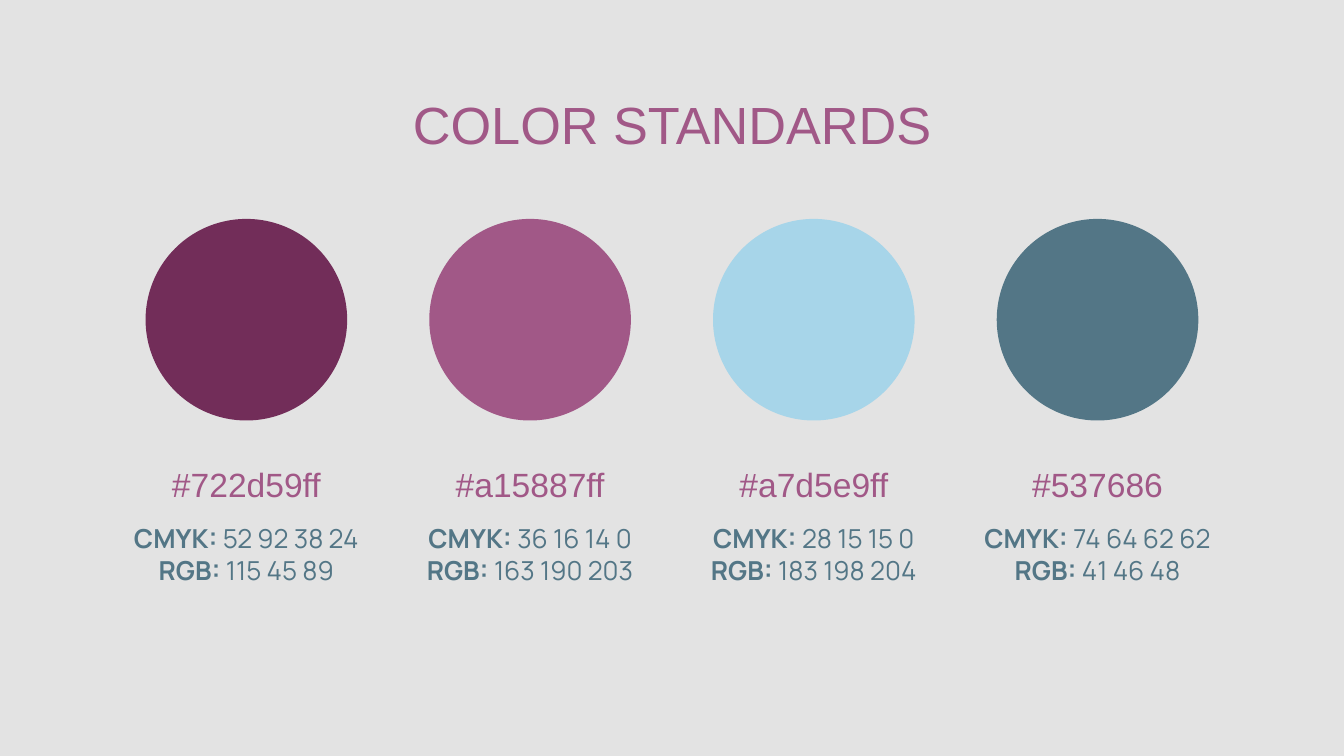
"""Build a slide that shows four colour standards."""
import pptx
import pptx.dml.color
import pptx.enum.shapes
import pptx.enum.text
import pptx.util

PLUM = "722D59"
MAUVE = "A15887"
SKY = "A7D5E9"
SLATE = "537686"
BACKGROUND = "E3E3E3"

SWATCHES = [
    (PLUM, "#722d59ff", "52 92 38 24", "115 45 89"),
    (MAUVE, "#a15887ff", "36 16 14 0", "163 190 203"),
    (SKY, "#a7d5e9ff", "28 15 15 0", "183 198 204"),
    (SLATE, "#537686", "74 64 62 62", "41 46 48"),
]
MARGIN = 56
COLUMN_WIDTH = 152
CIRCLE_SIZE = 108
CODE_WIDTH = 116


def set_fill(fill, color):
    """Give a fill one solid colour."""
    fill.solid()
    fill.fore_color.rgb = pptx.dml.color.RGBColor.from_string(color)


def add_text(slide, lines, left, top, width, height, *, size, font, color):
    """Add a centred text box whose lines are lists of (text, bold) runs."""
    box = slide.shapes.add_textbox(*map(pptx.util.Pt, (left, top, width, height)))
    frame = box.text_frame
    frame.word_wrap = True
    frame.margin_left = frame.margin_right = pptx.util.Pt(7.2)
    frame.margin_top = frame.margin_bottom = pptx.util.Pt(7.2)
    for index, line in enumerate(lines):
        paragraph = frame.add_paragraph() if index else frame.paragraphs[0]
        paragraph.alignment = pptx.enum.text.PP_ALIGN.CENTER
        for text, bold in line:
            run = paragraph.add_run()
            run.text = text
            run.font.bold = bold
            run.font.size = pptx.util.Pt(size)
            run.font.name = font
            run.font.color.rgb = pptx.dml.color.RGBColor.from_string(color)


def add_circle(slide, center, top, color):
    """Add a plain colour circle centred on a column."""
    circle = slide.shapes.add_shape(
        pptx.enum.shapes.MSO_SHAPE.OVAL,
        *map(pptx.util.Pt, (center - CIRCLE_SIZE / 2, top, CIRCLE_SIZE, CIRCLE_SIZE)),
    )
    circle.shadow.inherit = False
    set_fill(circle.fill, color)
    circle.line.fill.background()


def add_swatch(slide, left, color, code, cmyk, rgb):
    """Add one column: circle, hex code and colour values."""
    center = left + COLUMN_WIDTH / 2
    add_circle(slide, center, 117.3, color)
    add_text(slide, [[(code, False)]], center - CODE_WIDTH / 2, 241.2, CODE_WIDTH, 28.8,
             size=18, font="Arial", color=MAUVE)
    values = [[("CMYK: ", True), (cmyk, False)], [("RGB: ", True), (rgb, False)]]
    add_text(slide, values, left, 272.9, COLUMN_WIDTH, 45.4,
             size=14, font="Manrope", color=SLATE)


def main():
    """Build and save the slide."""
    presentation = pptx.Presentation()
    presentation.slide_width = pptx.util.Pt(720)
    presentation.slide_height = pptx.util.Pt(405)
    slide = presentation.slides.add_slide(presentation.slide_layouts[6])
    set_fill(slide.background.fill, BACKGROUND)
    add_text(slide, [[("COLOR STANDARDS", False)]], MARGIN, 42.5, 4 * COLUMN_WIDTH, 45.4,
             size=28, font="Arial", color=MAUVE)
    for index, swatch in enumerate(SWATCHES):
        add_swatch(slide, MARGIN + index * COLUMN_WIDTH, *swatch)
    presentation.save("out.pptx")


if __name__ == "__main__":
    main()
